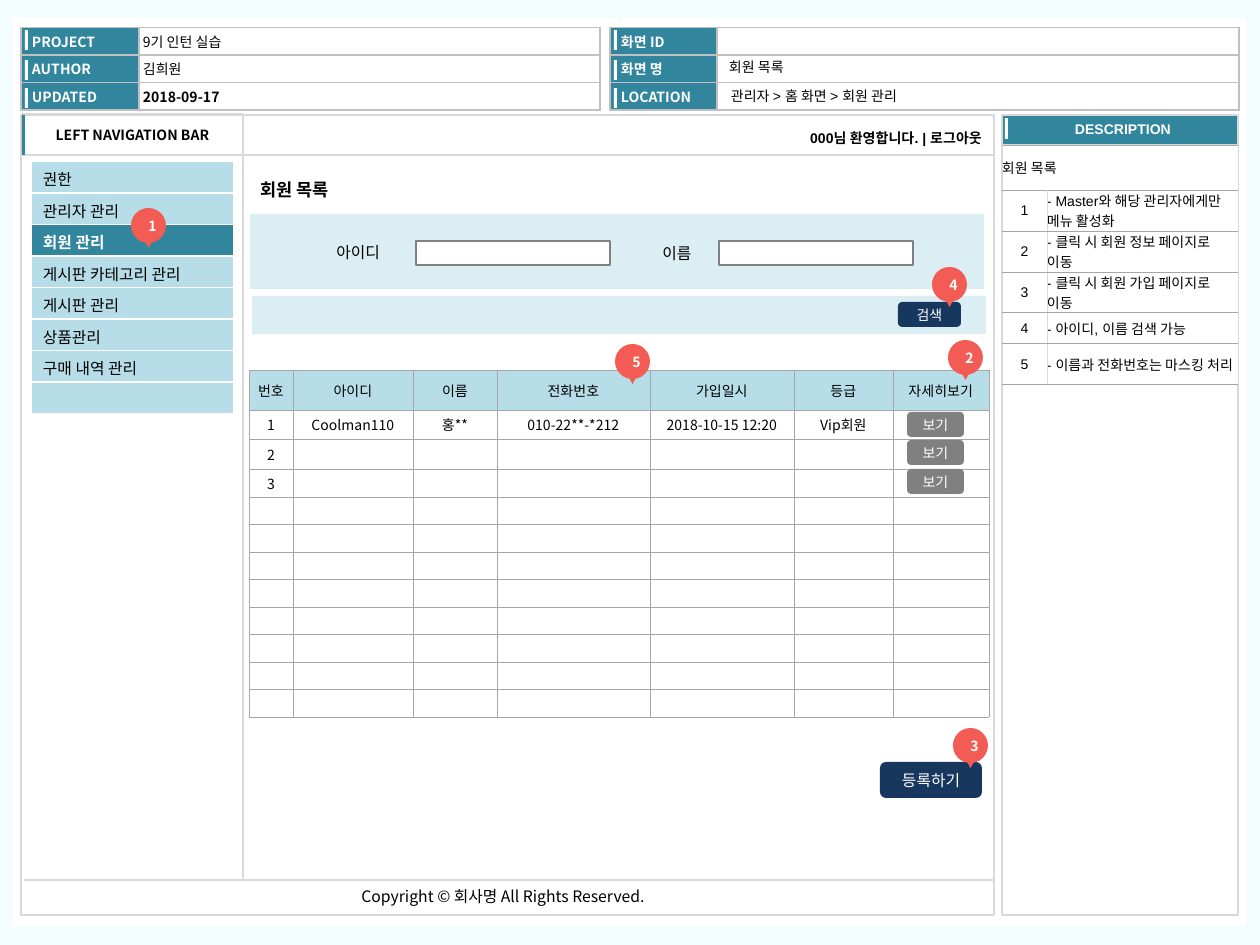
from lxml import etree
from pptx import Presentation
from pptx import util as u
from pptx.dml import color
from pptx.enum import shapes, text
from pptx.oxml import ns

SCALE = u.Inches(10) / 1260
NOTO, ARIAL = "Noto Sans CJK KR", "Arial"
HEX = {
    "page": "F3FCFF", "white": "FFFFFF", "black": "000000", "teal": "31859C",
    "aqua": "B7DEE8", "pale": "DBEEF4", "navy": "17375E", "pin": "F25C54",
    "gray": "808080", "rule": "D9D9D9", "silver": "C0C0C0", "grid": "A6A6A6",
}

PROJECT = [("PROJECT", "9기 인턴 실습"), ("AUTHOR", "김희원"), ("UPDATED", "2018-09-17")]
SCREEN = [("화면 ID", ""), ("화면 명", ""), ("LOCATION", "")]
NOTES = [
    ("회원 목록", ""),
    ("1", "- Master와 해당 관리자에게만 메뉴 활성화"),
    ("2", "- 클릭 시 회원 정보 페이지로 이동"),
    ("3", "- 클릭 시 회원 가입 페이지로 이동"),
    ("4", "- 아이디, 이름 검색 가능"),
    ("5", "- 이름과 전화번호는 마스킹 처리"),
]
MENU = ["권한", "관리자 관리", "회원 관리", "게시판 카테고리 관리", "게시판 관리",
        "상품관리", "구매 내역 관리", ""]
CURRENT = MENU.index("회원 관리")
MEMBERS = [
    ("번호", "아이디", "이름", "전화번호", "가입일시", "등급", "자세히보기"),
    ("1", "Coolman110", "홍**", "010-22**-*212", "2018-10-15 12:20", "Vip회원", ""),
    ("2",) + ("",) * 6,
    ("3",) + ("",) * 6,
] + [("",) * 7] * 8
LABELS = [
    ("관리자 > 홈 화면 > 회원 관리", (721, 83, 365, 25), dict(font=ARIAL, inset=(10, 5, 10, 5))),
    ("회원 목록", (719, 54, 365, 25), dict(font=ARIAL, inset=(10, 5, 10, 5))),
    ("000님 환영합니다. | 로그아웃", (667, 125, 325, 28),
     dict(font=ARIAL, bold=True, align="RIGHT", inset=(10, 5, 10, 5))),
    ("Copyright © 회사명 All Rights Reserved.", (349, 881, 318, 32), dict(size=9, wrap=False)),
    ("회원 목록", (248, 173, 102, 34), dict(size=10, bold=True, wrap=False)),
    ("아이디", (324, 237, 73, 32), dict(size=9, wrap=False)),
    ("이름", (650, 238, 57, 32), dict(size=9, wrap=False)),
]
BUTTONS = [
    ("등록하기", (880, 762, 102, 36), "navy", 9),
    ("검색", (898, 302, 63, 25), "navy", 8),
] + [("보기", (907, y, 57, 25), "gray", 8) for y in (412, 440, 469)]
PINS = [("1", 131, 208), ("2", 948, 340), ("3", 953, 728), ("4", 932, 267), ("5", 615, 344)]
RULES = [(24, 880, 994, 880, 1), (243, 115, 243, 880, 0.75), (243, 155, 994, 155, 1)]


def px(value):
    return u.Emu(round(value * SCALE))


def rgb(name):
    return color.RGBColor.from_string(HEX[name])


def apply(target, values):
    for name, value in values.items():
        setattr(target, name, value)


def paint(fill, name):
    if name:
        fill.solid()
        fill.fore_color.rgb = rgb(name)
    else:
        fill.background()


def write(frame, words, size=8, font=NOTO, ink="black", bold=False, align="LEFT"):
    para = frame.paragraphs[0]
    para.alignment = getattr(text.PP_ALIGN, align)
    if not words:
        etree.SubElement(para._p, ns.qn("a:endParaRPr"), sz=str(size * 100))
        return
    span = para.add_run()
    span.text = words
    apply(span.font, dict(size=u.Pt(size), name=font, bold=bold))
    span.font.color.rgb = rgb(ink)
    etree.SubElement(span._r.get_or_add_rPr(), ns.qn("a:ea"), typeface=NOTO)


def margins(target, inset):
    names = ("margin_left", "margin_top", "margin_right", "margin_bottom")
    apply(target, dict(zip(names, map(px, inset))))


def shape(parent, kind, at, fill=None, line=None, words="", inset=(0, 0, 0, 0), **style):
    item = parent.shapes.add_shape(getattr(shapes.MSO_SHAPE, kind), *map(px, at))
    item.shadow.inherit = False
    paint(item.fill, fill)
    paint(item.line.fill, line)
    if line:
        item.line.width = u.Pt(0.75)
    if words:
        margins(item.text_frame, inset)
        apply(item.text_frame, dict(word_wrap=True, vertical_anchor=text.MSO_ANCHOR.MIDDLE))
        write(item.text_frame, words, align="CENTER", **style)
    return item


def label(words, at, inset=(12.6, 6.3, 12.6, 6.3), wrap=True, **style):
    box = page.shapes.add_textbox(*map(px, at))
    margins(box.text_frame, inset)
    box.text_frame.word_wrap = wrap
    write(box.text_frame, words, **style)


def border(cell, sides):
    props = cell._tc.get_or_add_tcPr()
    for place, (side, (name, width)) in enumerate(zip("LRTB", sides)):
        line = etree.Element(ns.qn(f"a:ln{side}"), w=str(u.Pt(width)))
        solid = etree.SubElement(line, ns.qn("a:solidFill"))
        etree.SubElement(solid, ns.qn("a:srgbClr"), val=HEX[name])
        props.insert(place, line)


def grid(left, top, cols, rows, content, look, sides):
    frame = page.shapes.add_table(len(rows), len(cols), *map(px, (left, top, sum(cols), sum(rows))))
    table = frame.table
    apply(table, dict(first_row=False, horz_banding=False))
    for column, width in zip(table.columns, cols):
        column.width = px(width)
    for row, height in zip(table.rows, rows):
        row.height = px(height)
    for r, line in enumerate(content):
        for c, words in enumerate(line):
            cell, style = table.cell(r, c), dict(look(r, c))
            paint(cell.fill, style.pop("fill", None))
            margins(cell, style.pop("inset", (0, 0, 0, 0)))
            cell.vertical_anchor = getattr(text.MSO_ANCHOR, style.pop("anchor", "MIDDLE"))
            write(cell.text_frame, words, **style)
            border(cell, sides)
    return table


def info_look(r, c):
    if c == 0:
        return dict(fill="teal", ink="white", bold=True, inset=(11, 0, 4, 0))
    return dict(fill="white", bold=r == 2, inset=(4, 0, 4, 0))


def panel_look(r, c):
    return dict(fill="white" if r else "teal", ink="white", bold=True, font=ARIAL,
                align="CENTER", inset=(6, 0, 0, 0))


def notes_look(r, c):
    return dict(fill="white", font=ARIAL, align="CENTER" if r and c == 0 else "LEFT")


def menu_look(r, c):
    current = r == CURRENT
    return dict(fill="teal" if current else "aqua", ink="white" if current else "black",
                bold=current, size=9, anchor="TOP", inset=(12, 6, 12, 0))


def member_look(r, c):
    return dict(fill=None if r else "aqua", align="CENTER")


def pin(number, left, top):
    group = page.shapes.add_group_shape()
    shape(group, "OVAL", (left, top, 35, 35), "pin", words=number, ink="white", bold=True,
          inset=(8, 0, 0, 0))
    shape(group, "ISOSCELES_TRIANGLE", (left + 12, top + 30, 11, 10), "pin").rotation = 180


deck = Presentation()
apply(deck, dict(slide_width=px(1260), slide_height=px(945)))
page = deck.slides.add_slide(deck.slide_layouts[6])
paint(page.background.fill, "page")

shape(page, "RECTANGLE", (13, 18, 1233, 908), "white")
for left, cols, content in ((21, (118, 461), PROJECT), (610, (107, 522), SCREEN)):
    grid(left, 27.5, cols, [82.5 / 3] * 3, content, info_look, [("silver", 1)] * 4)
    for top in (30, 60, 88):
        shape(page, "RECTANGLE", (left + 4, top, 3, 20), "white")

shape(page, "RECTANGLE", (21, 115, 973, 800), line="rule")
grid(1002, 115, [236], [30, 770], [["DESCRIPTION"], [""]], panel_look, [("rule", 1)] * 4)
shape(page, "RECTANGLE", (1005, 118, 3, 21), "white")
notes = grid(1002, 145, (45, 191), (45, 41, 41, 40, 31, 41), NOTES, notes_look,
             [("rule", 0.5)] * 2 + [("grid", 0.5)] * 2)
notes.cell(0, 0).merge(notes.cell(0, 1))

shape(page, "RECTANGLE", (22, 114, 221, 41), line="rule", words="LEFT NAVIGATION BAR", bold=True)
shape(page, "RECTANGLE", (22, 115, 3, 40), "teal")
for x1, y1, x2, y2, width in RULES:
    rule = page.shapes.add_connector(shapes.MSO_CONNECTOR.STRAIGHT, *map(px, (x1, y1, x2, y2)))
    rule.line.color.rgb = rgb("rule")
    rule.line.width = u.Pt(width)
    etree.SubElement(rule._element.spPr, ns.qn("a:effectLst"))

grid(31, 161.5, [203], [31.5] * 8, [[item] for item in MENU], menu_look, [("white", 1)] * 4)
grid(249, 370.5, (44, 120, 84, 153, 144, 99, 96), [39.5, 29, 30, 28] + [27.5] * 8,
     MEMBERS, member_look, [("grid", 0.25)] * 4)

shape(page, "RECTANGLE", (250, 214, 734, 75), "pale")
shape(page, "RECTANGLE", (252, 296, 734, 38), "pale")
for left in (416, 719):
    shape(page, "RECTANGLE", (left, 241, 194, 24), "white", "gray")
for words, at, fill, size in BUTTONS:
    shape(page, "ROUNDED_RECTANGLE", at, fill, words=words, size=size, ink="white")
for words, at, style in LABELS:
    label(words, at, **style)
for mark in PINS:
    pin(*mark)

deck.save("out.pptx")
